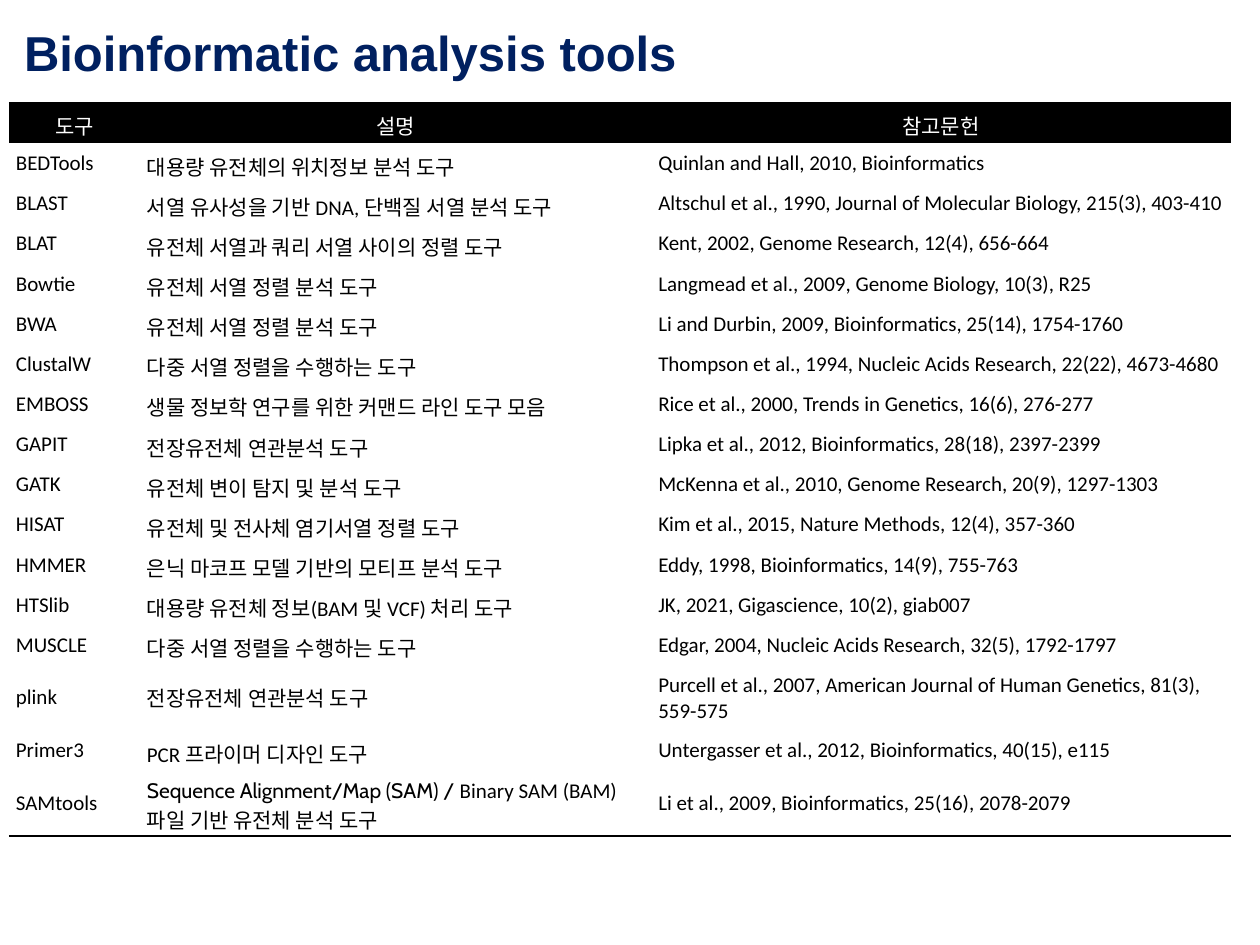
"""Build a slide that lists bioinformatic analysis tools with their references."""
from dataclasses import dataclass

from lxml import etree
from pptx import Presentation
from pptx import util as u
from pptx.dml.color import RGBColor
from pptx.enum import text
from pptx.oxml import ns

BLACK, WHITE, NAVY = "000000", "FFFFFF", "002060"
NO_STYLE = "{2D5ABB26-0587-4C30-8999-92F81FD0307C}"
COLUMN_WIDTHS = (2.64, 10.31, 11.68)
ROW_HEIGHT = 0.64
INSET = 0.14
HEADINGS = ("도구", "설명", "참고문헌")


@dataclass(frozen=True)
class Tool:
    """One row of the table; lead is the part of the description set in Cabin."""
    name: str
    description: str
    reference: str
    lead: str = ""


TOOLS = (
    Tool("BEDTools", "대용량 유전체의 위치정보 분석 도구", "Quinlan and Hall, 2010, Bioinformatics"),
    Tool("BLAST", "서열 유사성을 기반 DNA, 단백질 서열 분석 도구",
         "Altschul et al., 1990, Journal of Molecular Biology, 215(3), 403-410"),
    Tool("BLAT", "유전체 서열과 쿼리 서열 사이의 정렬 도구",
         "Kent, 2002, Genome Research, 12(4), 656-664"),
    Tool("Bowtie", "유전체 서열 정렬 분석 도구",
         "Langmead et al., 2009, Genome Biology, 10(3), R25"),
    Tool("BWA", "유전체 서열 정렬 분석 도구",
         "Li and Durbin, 2009, Bioinformatics, 25(14), 1754-1760"),
    Tool("ClustalW", "다중 서열 정렬을 수행하는 도구",
         "Thompson et al., 1994, Nucleic Acids Research, 22(22), 4673-4680"),
    Tool("EMBOSS", "생물 정보학 연구를 위한 커맨드 라인 도구 모음",
         "Rice et al., 2000, Trends in Genetics, 16(6), 276-277"),
    Tool("GAPIT", "", "Lipka et al., 2012, Bioinformatics, 28(18), 2397-2399",
         lead="전장유전체 연관분석 도구"),
    Tool("GATK", "유전체 변이 탐지 및 분석 도구",
         "McKenna et al., 2010, Genome Research, 20(9), 1297-1303"),
    Tool("HISAT", "유전체 및 전사체 염기서열 정렬 도구",
         "Kim et al., 2015, Nature Methods, 12(4), 357-360"),
    Tool("HMMER", "은닉 마코프 모델 기반의 모티프 분석 도구",
         "Eddy, 1998, Bioinformatics, 14(9), 755-763"),
    Tool("HTSlib", "대용량 유전체 정보(BAM 및 VCF) 처리 도구",
         "JK, 2021, Gigascience, 10(2), giab007"),
    Tool("MUSCLE", "다중 서열 정렬을 수행하는 도구",
         "Edgar, 2004, Nucleic Acids Research, 32(5), 1792-1797"),
    Tool("plink", "",
         "Purcell et al., 2007, American Journal of Human Genetics, 81(3), 559-575",
         lead="전장유전체 연관분석 도구"),
    Tool("Primer3", "PCR 프라이머 디자인 도구",
         "Untergasser et al., 2012, Bioinformatics, 40(15), e115"),
    Tool("SAMtools", "Binary SAM (BAM) 파일 기반 유전체 분석 도구",
         "Li et al., 2009, Bioinformatics, 25(16), 2078-2079",
         lead="Sequence Alignment/Map (SAM) / "),
)


def rgb(value: str) -> RGBColor:
    """Turn a hex string into a colour."""
    return RGBColor.from_string(value)


def write(paragraph, words: str, *, size: float = 12, font: str = "Calibri",
          color: str = BLACK, bold: bool = False, align=text.PP_ALIGN.LEFT) -> None:
    """Add a formatted run to a paragraph."""
    paragraph.alignment = align
    run = paragraph.add_run()
    run.text = words
    run.font.size, run.font.name, run.font.bold = u.Pt(size), font, bold
    run.font.color.rgb = rgb(color)


def add_border(cell, side: str) -> None:
    """Draw a thin black line on one side (T or B) of a cell."""
    line = etree.Element(ns.qn(f"a:ln{side}"), w=str(u.Pt(1)))
    fill = etree.SubElement(line, ns.qn("a:solidFill"))
    etree.SubElement(fill, ns.qn("a:srgbClr"), val=BLACK)
    cell.fill._xPr.insert(0, line)


def format_cell(cell, fill: str = "") -> None:
    """Set the margins, anchor and fill of a cell."""
    cell.margin_left = cell.margin_right = u.Cm(INSET)
    cell.margin_top = cell.margin_bottom = u.Cm(0.15)
    cell.vertical_anchor = text.MSO_ANCHOR.MIDDLE
    if fill:
        cell.fill.solid()
        cell.fill.fore_color.rgb = rgb(fill)
    else:
        cell.fill.background()


def add_title(slide, words: str) -> None:
    """Place the slide title."""
    title = slide.shapes.title
    title.left, title.top = u.Cm(0.23), u.Cm(0.33)
    title.width, title.height = u.Cm(20.12), u.Cm(1.45)
    frame = title.text_frame
    frame.vertical_anchor = text.MSO_ANCHOR.TOP
    frame.auto_size = text.MSO_AUTO_SIZE.SHAPE_TO_FIT_TEXT
    frame.word_wrap = True
    write(frame.paragraphs[0], words, size=28, font="Arial", color=NAVY, bold=True)


def add_tool_table(slide) -> None:
    """Draw the table of tools."""
    holder = slide.shapes.add_table(
        len(TOOLS) + 1, len(HEADINGS), u.Cm(0.18), u.Cm(2.08),
        u.Cm(sum(COLUMN_WIDTHS)), u.Cm(ROW_HEIGHT * (len(TOOLS) + 1)))
    table = holder.table
    table.first_row = table.horz_banding = False
    next(table._tbl.iter(ns.qn("a:tableStyleId"))).text = NO_STYLE
    for column, width in zip(table.columns, COLUMN_WIDTHS):
        column.width = u.Cm(width)
    for row in table.rows:
        row.height = u.Cm(ROW_HEIGHT)
    holder.height = u.Cm(15.09)

    for index, heading in enumerate(HEADINGS):
        cell = table.cell(0, index)
        format_cell(cell, BLACK)
        add_border(cell, "T")
        write(cell.text_frame.paragraphs[0], heading, color=WHITE,
              align=text.PP_ALIGN.CENTER)

    for number, tool in enumerate(TOOLS, start=1):
        entries = (tool.name, tool.description, tool.reference)
        for index, entry in enumerate(entries):
            cell = table.cell(number, index)
            format_cell(cell)
            paragraph = cell.text_frame.paragraphs[0]
            if index == 1 and tool.lead:
                write(paragraph, tool.lead, font="Cabin")
            if entry:
                write(paragraph, entry)
            if number == len(TOOLS):
                add_border(cell, "B")


def main() -> None:
    """Build and save the presentation."""
    deck = Presentation()
    deck.slide_width, deck.slide_height = u.Cm(25.4), u.Cm(19.05)
    slide = deck.slides.add_slide(deck.slide_layouts.get_by_name("Title Only"))
    add_tool_table(slide)
    add_title(slide, "Bioinformatic analysis tools")
    deck.save("out.pptx")


if __name__ == "__main__":
    main()
